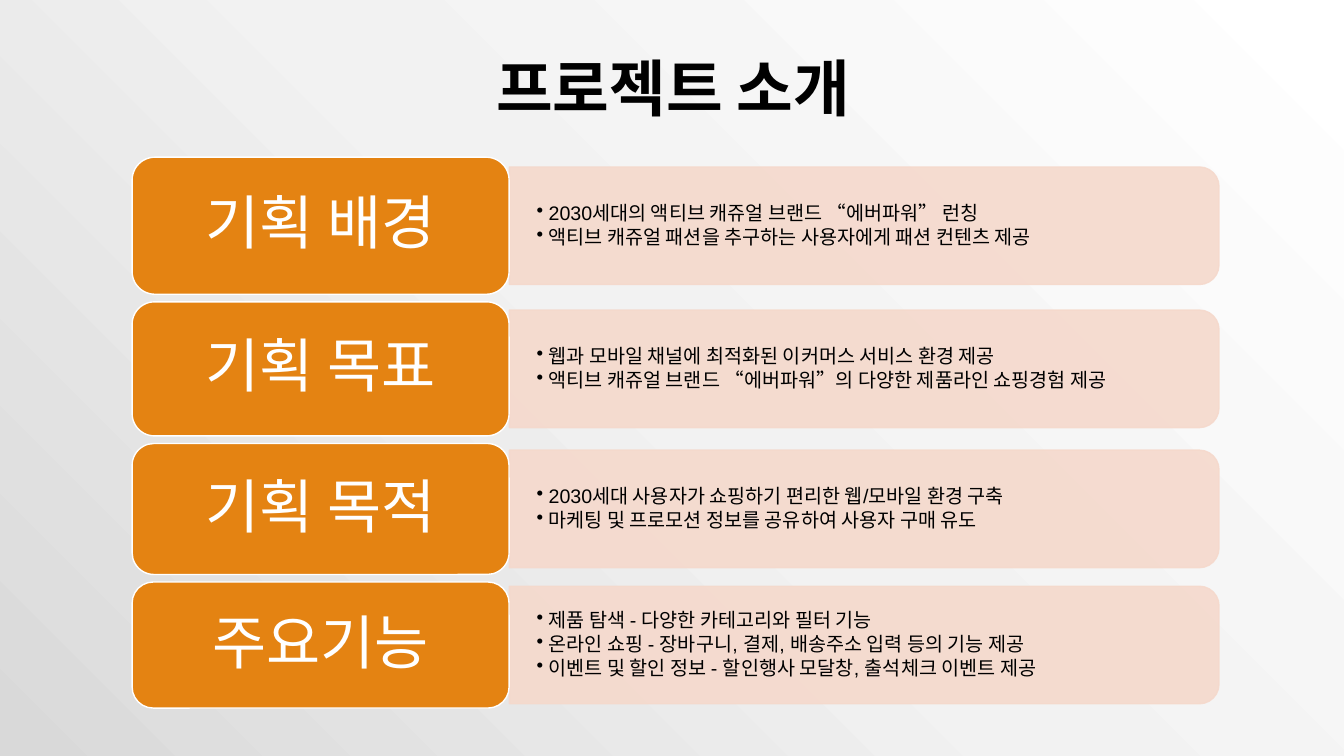
from lxml import etree
from pptx import Presentation
from pptx.dml.color import RGBColor
from pptx.enum.shapes import MSO_SHAPE as Preset
from pptx.enum.text import MSO_ANCHOR as Anchor, PP_ALIGN as Align
from pptx.oxml import parse_xml
from pptx.oxml.ns import nsdecls, qn
from pptx.util import Inches, Pt

WIDTH, HEIGHT = Inches(13.333), Inches(7.5)
COLUMN, ROW = WIDTH / 100, HEIGHT / 100

BLACK = RGBColor(0x00, 0x00, 0x00)
WHITE = RGBColor(0xFF, 0xFF, 0xFF)
ORANGE = RGBColor(0xE4, 0x83, 0x12)
PEACH = RGBColor(0xF5, 0xD9, 0xCC)
LIGHT_GREY = RGBColor(0xF2, 0xF2, 0xF2)
MID_GREY = RGBColor(0xD9, 0xD9, 0xD9)
PALE_ORANGE = RGBColor(0xF9, 0xDA, 0xB6)
BACKDROP_STOPS = [(0, WHITE), (50, LIGHT_GREY), (100, MID_GREY), (100, PALE_ORANGE)]

FIRST_TOP, GAP = 20.8, 1
LABEL_LEFT, LABEL_WIDTH = 9.83, 28.05
PANEL_LEFT, PANEL_WIDTH, PANEL_HEIGHT = 37.9, 52.8, 15.55
BULLETS_WIDTH, BULLETS_HEIGHT = 52.35, 14

SECTIONS = [
    ("기획 배경", 18.13, [
        "2030세대의 액티브 캐쥬얼 브랜드 “에버파워” 런칭",
        "액티브 캐쥬얼 패션을 추구하는 사용자에게 패션 컨텐츠 제공",
    ]),
    ("기획 목표", 17.73, [
        "웹과 모바일 채널에 최적화된 이커머스 서비스 환경 제공",
        "액티브 캐쥬얼 브랜드 “에버파워”의 다양한 제품라인 쇼핑경험 제공",
    ]),
    ("기획 목적", 17.33, [
        "2030세대 사용자가 쇼핑하기 편리한 웹/모바일 환경 구축",
        "마케팅 및 프로모션 정보를 공유하여 사용자 구매 유도",
    ]),
    ("주요기능", 16.67, [
        "제품 탐색 - 다양한 카테고리와 필터 기능",
        "온라인 쇼핑 - 장바구니, 결제, 배송주소 입력 등의 기능 제공",
        "이벤트 및 할인 정보 - 할인행사 모달창, 출석체크 이벤트 제공",
    ]),
]


def paint_background(slide):
    stops = "".join(
        f'<a:gs pos="{share * 1000}"><a:srgbClr val="{color}"/></a:gs>'
        for share, color in BACKDROP_STOPS
    )
    fill = slide.background.fill
    fill.solid()
    properties = slide.element.find(".//" + qn("p:bgPr"))
    properties.replace(properties.find(qn("a:solidFill")), parse_xml(
        f'<a:gradFill {nsdecls("a")} rotWithShape="1"><a:gsLst>{stops}</a:gsLst>'
        '<a:path path="circle"><a:fillToRect l="100000" b="100000"/></a:path></a:gradFill>'
    ))


def style_shape(shape, fill, line, opacity=100):
    shape.shadow.inherit = False
    shape.fill.solid()
    shape.fill.fore_color.rgb = fill
    shape.line.color.rgb = line
    shape.line.width = Pt(1)
    if opacity < 100:
        for color in shape.element.spPr.iter(qn("a:srgbClr")):
            etree.SubElement(color, qn("a:alpha"), val=str(opacity * 1000))


def prepare_frame(shape, side=0.1, edge=0.05):
    frame = shape.text_frame
    frame.word_wrap = True
    frame.vertical_anchor = Anchor.MIDDLE
    frame.margin_left = frame.margin_right = Inches(side)
    frame.margin_top = frame.margin_bottom = Inches(edge)
    return frame


def write(paragraph, text, size, font, color, align, after=0, bold=False, bullet=False):
    paragraph.line_spacing = 0.9
    paragraph.alignment = align
    properties = paragraph._p.get_or_add_pPr()
    if after:
        spacing = etree.SubElement(properties, qn("a:spcAft"))
        etree.SubElement(spacing, qn("a:spcPct"), val=str(after * 1000))
    if bullet:
        indent = Inches(0.12)
        properties.set("marL", str(indent))
        properties.set("indent", str(-indent))
        etree.SubElement(properties, qn("a:buChar"), char="•")
    run = paragraph.add_run()
    run.text = text
    run.font.size = Pt(size)
    run.font.name = font
    run.font.bold = bold
    run.font.color.rgb = color


def box(left, top, width, height):
    return [round(length) for length in (left * COLUMN, top * ROW, width * COLUMN, height * ROW)]


def add_title(slide, text):
    frame = prepare_frame(slide.shapes.add_textbox(*box(10.35, 5.33, 79.5, 13.47)))
    write(frame.paragraphs[0], text, 44, "Calibri", BLACK, Align.CENTER, bold=True)


def add_panel(slide, middle):
    left, top, width, height = box(
        PANEL_LEFT, middle - PANEL_HEIGHT / 2, PANEL_WIDTH, PANEL_HEIGHT)
    shift = (width - height) // 2
    panel = slide.shapes.add_shape(
        Preset.ROUND_2_SAME_RECTANGLE, left + shift, top - shift, height, width)
    panel.rotation = 90
    style_shape(panel, PEACH, PEACH, opacity=90)


def add_bullets(slide, middle, lines):
    area = box(PANEL_LEFT, middle - BULLETS_HEIGHT / 2, BULLETS_WIDTH, BULLETS_HEIGHT)
    frame = prepare_frame(slide.shapes.add_textbox(*area), 0.27, 0.14)
    for index, line in enumerate(lines):
        paragraph = frame.add_paragraph() if index else frame.paragraphs[0]
        write(paragraph, line, 14, "Arial", BLACK, Align.LEFT, after=15, bullet=True)


def add_label(slide, top, height, text):
    label = slide.shapes.add_shape(
        Preset.ROUNDED_RECTANGLE, *box(LABEL_LEFT, top, LABEL_WIDTH, height))
    style_shape(label, ORANGE, WHITE)
    frame = prepare_frame(label, 0.17, 0.09)
    write(frame.paragraphs[0], text, 42, "Calibri", WHITE, Align.CENTER, after=35)


def main():
    presentation = Presentation()
    presentation.slide_width, presentation.slide_height = WIDTH, HEIGHT
    slide = presentation.slides.add_slide(presentation.slide_layouts[6])
    paint_background(slide)
    add_title(slide, "프로젝트 소개")
    top = FIRST_TOP
    for name, height, lines in SECTIONS:
        middle = top + height / 2
        add_panel(slide, middle)
        add_bullets(slide, middle, lines)
        add_label(slide, top, height, name)
        top += height + GAP
    presentation.save("out.pptx")


if __name__ == "__main__":
    main()
